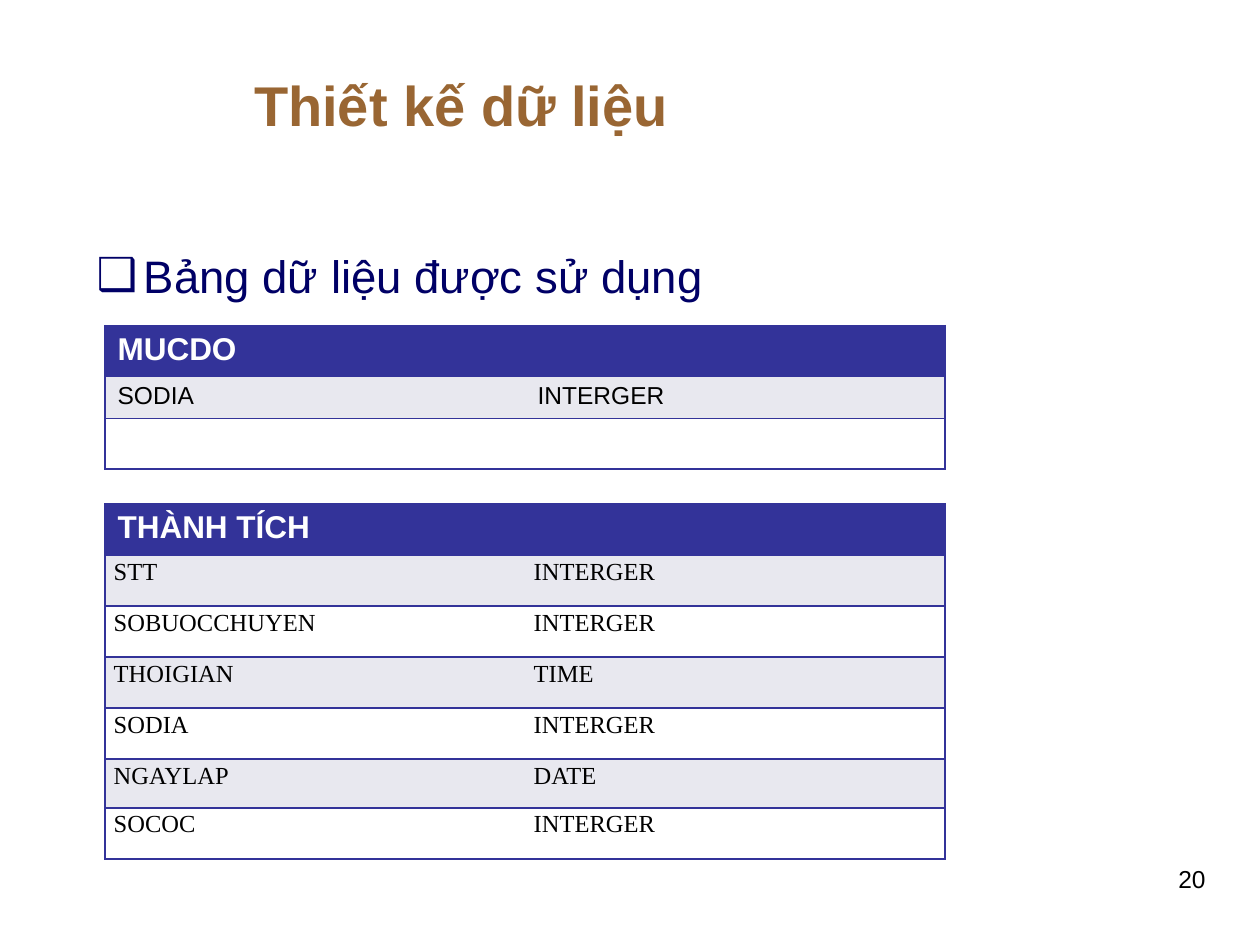
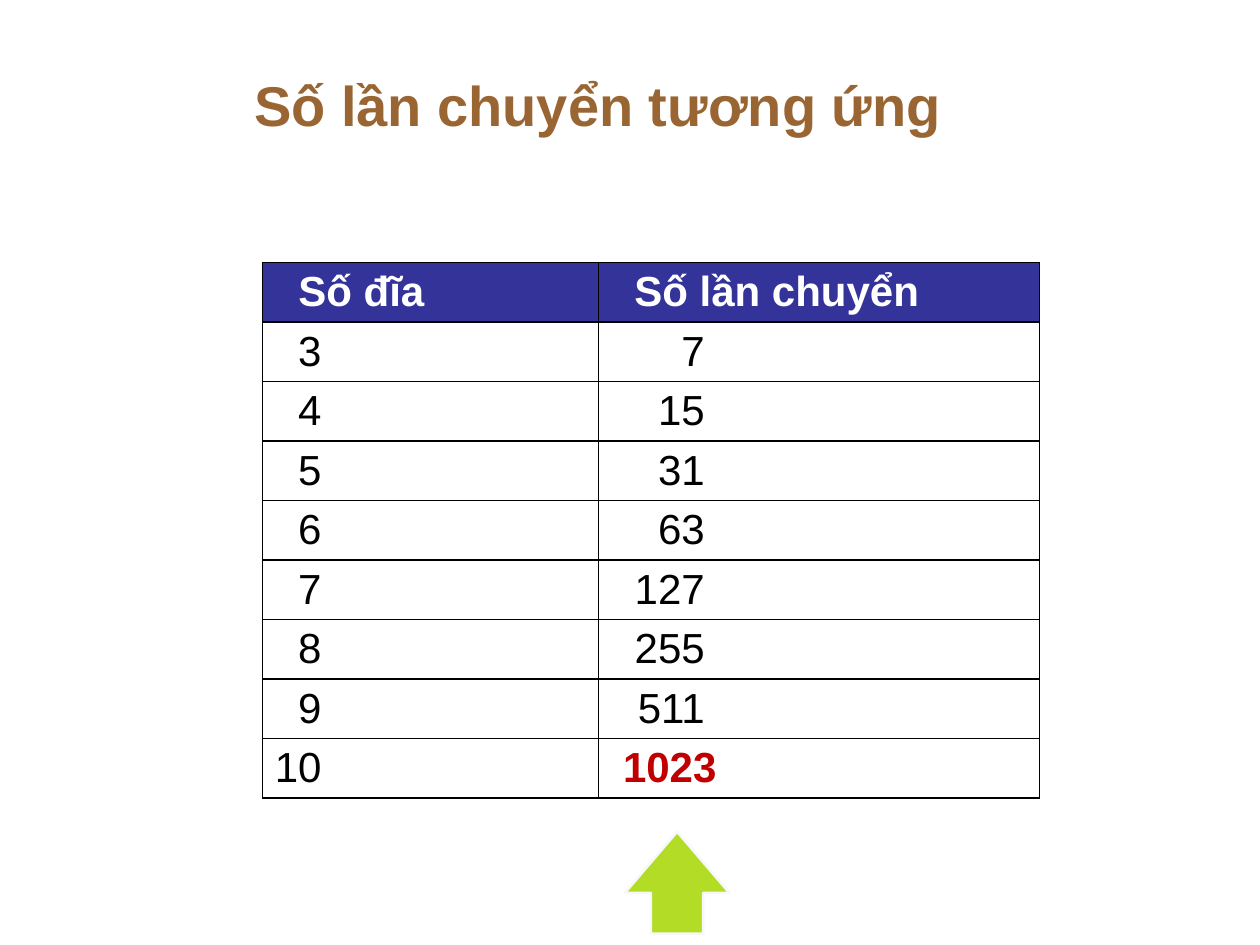
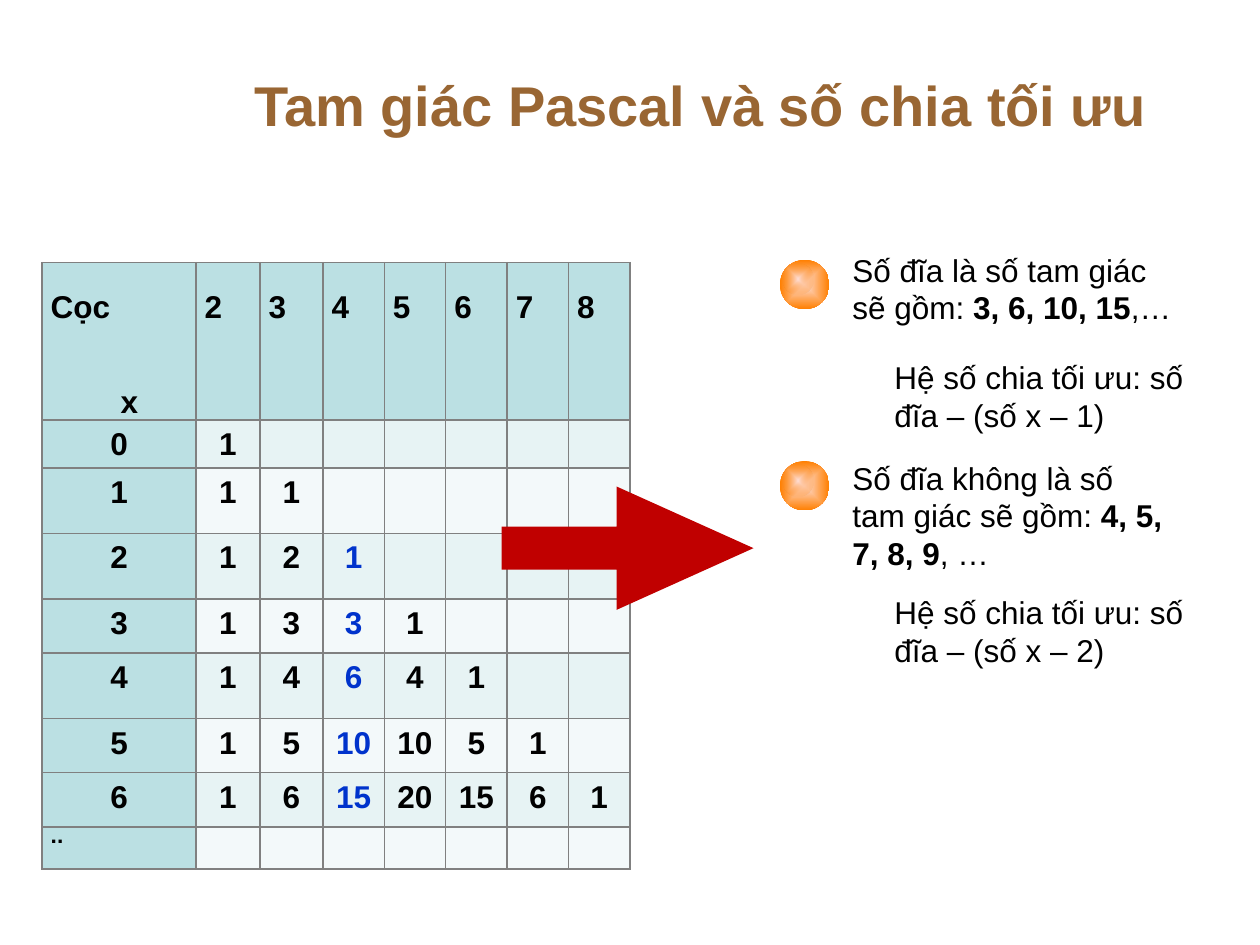
from dataclasses import dataclass, replace
from math import comb

from lxml import etree
from pptx import Presentation
from pptx.dml.color import RGBColor
from pptx.enum.shapes import MSO_SHAPE as Shape
from pptx.enum.text import MSO_ANCHOR as Anchor, MSO_AUTO_SIZE as AutoSize, PP_ALIGN as Align
from pptx.oxml import parse_xml
from pptx.oxml.ns import nsdecls, qn
from pptx.util import Pt


@dataclass(frozen=True)
class Style:
    size: float
    color: str = "000000"
    bold: bool = False
    font: str = "Arial"
    align: Align = Align.LEFT
    line: object = None


@dataclass(frozen=True)
class Theme:
    indigo: str = "333399"
    white: str = "FFFFFF"
    black: str = "000000"
    lavender: str = "E8E8EF"
    red: str = "C00000"
    lime: str = "B3DC27"
    pale: str = "F8F8F8"
    grey: str = "808080"
    teal: str = "BBE0E3"
    teal_bands: tuple = ("F3F9FA", "E7F3F4")
    glow: str = "FFDED5"
    orange: str = "FF7F00"
    title: Style = Style(32, "996633", True)
    bullet: Style = Style(26, "000066")
    number: Style = Style(14, align=Align.RIGHT)
    note: Style = Style(18)
    entity: Style = Style(18, "FFFFFF", True)
    field: Style = Style(14)
    serif_field: Style = Style(14, font="Times New Roman", align=Align.JUSTIFY, line=1.12)
    moves_head: Style = Style(24, "FFFFFF", True)
    moves: Style = Style(24, align=Align.RIGHT)
    moves_last: Style = Style(24, "C00000", True, align=Align.RIGHT)
    peg: Style = Style(18, bold=True, line=Pt(12))
    pascal: Style = Style(18, bold=True, align=Align.CENTER, line=1.2)
    optimal: Style = Style(18, "0033CC", True, align=Align.CENTER, line=1.2)


THEME = Theme()
NO_STYLE_NO_GRID = "{2D5ABB26-0587-4C30-8999-92F81FD0307C}"
CELL_INSETS = (7.2, 3.6, 7.2, 3.6)
TIGHT_INSETS = (5, 0, 5, 0)


def rgb(color):
    return RGBColor.from_string(color)


def points(*values):
    return [Pt(value) for value in values]


def format_para(para, style):
    para.alignment = style.align
    para.space_before = Pt(0)
    if style.line:
        para.line_spacing = style.line
    para.font.name = style.font
    para.font.size = Pt(style.size)
    para.font.bold = style.bold
    para.font.color.rgb = rgb(style.color)


def place(shape, left, top, width, height):
    shape.left, shape.top, shape.width, shape.height = points(left, top, width, height)


def add_slide(deck, layout, title):
    slide = deck.slides.add_slide(deck.slide_layouts[layout])
    box = slide.shapes.title
    place(box, 138, 22.3, 558, 74)
    frame = box.text_frame
    frame.text = title
    frame.auto_size = AutoSize.NONE
    frame.vertical_anchor = Anchor.MIDDLE
    format_para(frame.paragraphs[0], THEME.title)
    return slide


def fill_body(slide, text):
    body = slide.placeholders[1]
    place(body, 48, 138, 648, 369)
    frame = body.text_frame
    frame.text = text
    frame.auto_size = AutoSize.NONE
    para = frame.paragraphs[0]
    props = para._p.get_or_add_pPr()
    props.set("marL", str(Pt(27)))
    props.set("indent", str(-Pt(27)))
    etree.SubElement(props, qn("a:buChar")).set("char", "❑")
    format_para(para, THEME.bullet)


def add_text(slide, bounds, style, *pieces):
    """Add one wrapped paragraph; every second piece is bold."""
    frame = slide.shapes.add_textbox(*points(*bounds)).text_frame
    frame.word_wrap = True
    para = frame.paragraphs[0]
    for index, piece in enumerate(pieces):
        span = para.add_run()
        span.text = piece
        if index % 2:
            span.font.bold = True
    format_para(para, style)


def add_grid(slide, left, top, widths, heights):
    frame = slide.shapes.add_table(len(heights), len(widths),
                                   *points(left, top, sum(widths), sum(heights)))
    table = frame.table
    table.first_row = table.horz_banding = False
    table._tbl.tblPr.find(qn("a:tableStyleId")).text = NO_STYLE_NO_GRID
    for column, width in zip(table.columns, widths):
        column.width = Pt(width)
    for row, height in zip(table.rows, heights):
        row.height = Pt(height)
    return table


def paint_cell(cell, fill, border, sides="LRTB", insets=CELL_INSETS):
    props = cell._tc.get_or_add_tcPr()
    for side in sides:
        props.append(parse_xml(
            f'<a:ln{side} {nsdecls("a")} w="{Pt(1)}"><a:solidFill>'
            f'<a:srgbClr val="{border}"/></a:solidFill></a:ln{side}>'))
    cell.fill.solid()
    cell.fill.fore_color.rgb = rgb(fill)
    (cell.margin_left, cell.margin_top,
     cell.margin_right, cell.margin_bottom) = points(*insets)


def write_cell(cell, text, style):
    cell.text = str(text)
    for para in cell.text_frame.paragraphs:
        format_para(para, style)


def add_entity_table(slide, top, heights, name, fields, style, insets):
    """Add a database table: its name, then field and type in banded rows."""
    table = add_grid(slide, 60, top, [240, 240], heights)
    for row in range(len(heights)):
        fill = (THEME.lavender if row % 2 else THEME.white) if row else THEME.indigo
        for column, side in enumerate("LR"):
            paint_cell(table.cell(row, column), fill, THEME.indigo, side + "TB",
                       insets if row else CELL_INSETS)
    write_cell(table.cell(0, 0), name, THEME.entity)
    for row, field in enumerate(fields, 1):
        for column, text in enumerate(field):
            write_cell(table.cell(row, column), text, style)


def add_moves_table(slide):
    """List the moves, 2^n - 1, for each number of disks."""
    disks = range(3, 11)
    table = add_grid(slide, 150, 150, [192, 252], [34] * (len(disks) + 1))
    for column, text in enumerate(["Số đĩa", "Số lần chuyển"]):
        cell = table.cell(0, column)
        paint_cell(cell, THEME.indigo, THEME.black, insets=(20.5, 3.6, 7.2, 3.6))
        write_cell(cell, text, THEME.moves_head)
    for row, disk in enumerate(disks, 1):
        last = disk == disks[-1]
        entries = [(disk, 158.3, THEME.moves),
                   (2 ** disk - 1, 184.6 if last else 191.3,
                    THEME.moves_last if last else THEME.moves)]
        for column, (value, right_inset, style) in enumerate(entries):
            cell = table.cell(row, column)
            paint_cell(cell, THEME.white, THEME.black, insets=(0, 3.6, right_inset, 3.6))
            write_cell(cell, value, style)


def add_pascal_table(slide):
    heights = [90, 27.4, 37.4, 37.4, 31, 37.4, 31, 31, 24]
    table = add_grid(slide, 24, 150, [88, 36.5, 36] + [35.1] * 5, heights)
    last = len(heights) - 1
    for row in range(last + 1):
        for column in range(8):
            head = row == 0 or column == 0
            paint_cell(table.cell(row, column),
                       THEME.teal if head else THEME.teal_bands[row % 2], THEME.grey,
                       insets=TIGHT_INSETS if row else (5, 24, 5, 0))
    corner = table.cell(0, 0)
    write_cell(corner, "Cọc\nx", THEME.peg)
    x_para = corner.text_frame.paragraphs[1]
    x_para.space_before = Pt(42)
    x_para._p.get_or_add_pPr().set("marL", str(Pt(40)))
    for column in range(1, 8):
        write_cell(table.cell(0, column), column + 1, THEME.peg)
    for row in range(1, last):
        order = row - 1
        write_cell(table.cell(row, 0), order, THEME.pascal)
        for choice in range(order + 1):
            write_cell(table.cell(row, choice + 1), comb(order, choice),
                       THEME.optimal if choice == 2 else THEME.pascal)
    write_cell(table.cell(last, 0), "..", replace(THEME.peg, size=13))


def add_arrow(slide, bounds, adjustments, color, rotation=0, outline=None):
    arrow = slide.shapes.add_shape(Shape.RIGHT_ARROW, *points(*bounds))
    arrow.shadow.inherit = False
    arrow.rotation = rotation
    for index, value in enumerate(adjustments):
        arrow.adjustments[index] = value
    arrow.fill.solid()
    arrow.fill.fore_color.rgb = rgb(color)
    if outline:
        arrow.line.color.rgb = rgb(outline)
        arrow.line.width = Pt(1.5)
    else:
        arrow.line.fill.background()


def add_ball(slide, top):
    """Add an orange ball with a highlight that fades out at its rim."""
    ball = slide.shapes.add_group_shape()
    for bounds, rim in [((445.7, top, 28.2, 28.2), ""),
                        ((447.3, top + 2, 17.3, 18), '<a:alpha val="0"/>')]:
        disc = ball.shapes.add_shape(Shape.OVAL, *points(*bounds))
        disc.shadow.inherit = False
        disc.line.fill.background()
        gradient = parse_xml(
            f'<a:gradFill {nsdecls("a")} rotWithShape="1"><a:gsLst>'
            f'<a:gs pos="0"><a:srgbClr val="{THEME.glow}"/></a:gs>'
            f'<a:gs pos="100000"><a:srgbClr val="{THEME.orange}">{rim}</a:srgbClr></a:gs>'
            '</a:gsLst><a:path path="shape">'
            '<a:fillToRect l="50000" t="50000" r="50000" b="50000"/></a:path></a:gradFill>')
        disc._element.spPr.find(qn("a:prstGeom")).addnext(gradient)


def build_data_slide(deck):
    slide = add_slide(deck, 1, "Thiết kế dữ liệu")
    fill_body(slide, "Bảng dữ liệu được sử dụng")
    add_text(slide, (528, 490.3, 168, 44), THEME.number, "20")
    add_entity_table(slide, 186, [29, 24, 29], "MUCDO",
                     [("SODIA", "INTERGER")], THEME.field, CELL_INSETS)
    fields = [("STT", "INTERGER"), ("SOBUOCCHUYEN", "INTERGER"), ("THOIGIAN", "TIME"),
              ("SODIA", "INTERGER"), ("NGAYLAP", "DATE"), ("SOCOC", "INTERGER")]
    add_entity_table(slide, 288, [29.15] * 5 + [28, 29.15], "THÀNH TÍCH",
                     fields, THEME.serif_field, TIGHT_INSETS)


def build_moves_slide(deck):
    slide = add_slide(deck, 5, "Số lần chuyển tương ứng")
    add_moves_table(slide)
    add_arrow(slide, (357.8, 474.5, 58.3, 59.8), (0.5, 0.6), THEME.lime, 270, THEME.pale)


def build_pascal_slide(deck):
    slide = add_slide(deck, 5, "Tam giác Pascal và số chia tối ưu")
    add_pascal_table(slide)
    add_text(slide, (480, 139.7, 198, 51), THEME.note,
             "Số đĩa là số tam giác sẽ gồm: ", "3, 6, 10, 15", ",…")
    add_text(slide, (480, 258.5, 198, 73), THEME.note,
             "Số đĩa không là số tam giác sẽ gồm: ", "4, 5, 7, 8, 9", ", …")
    for top in (148.5, 263.5):
        add_ball(slide, top)
    add_arrow(slide, (286.6, 278, 144, 70.5), (0.35, 1.11), THEME.red)
    for top, offset in [(201, 1), (335.5, 2)]:
        add_text(slide, (504, top, 198, 51), THEME.note,
                 f"Hệ số chia tối ưu: số đĩa – (số x – {offset})")


def main():
    deck = Presentation()
    deck.slide_width, deck.slide_height = points(720, 540)
    build_data_slide(deck)
    build_moves_slide(deck)
    build_pascal_slide(deck)
    deck.save("out.pptx")


if __name__ == "__main__":
    main()
